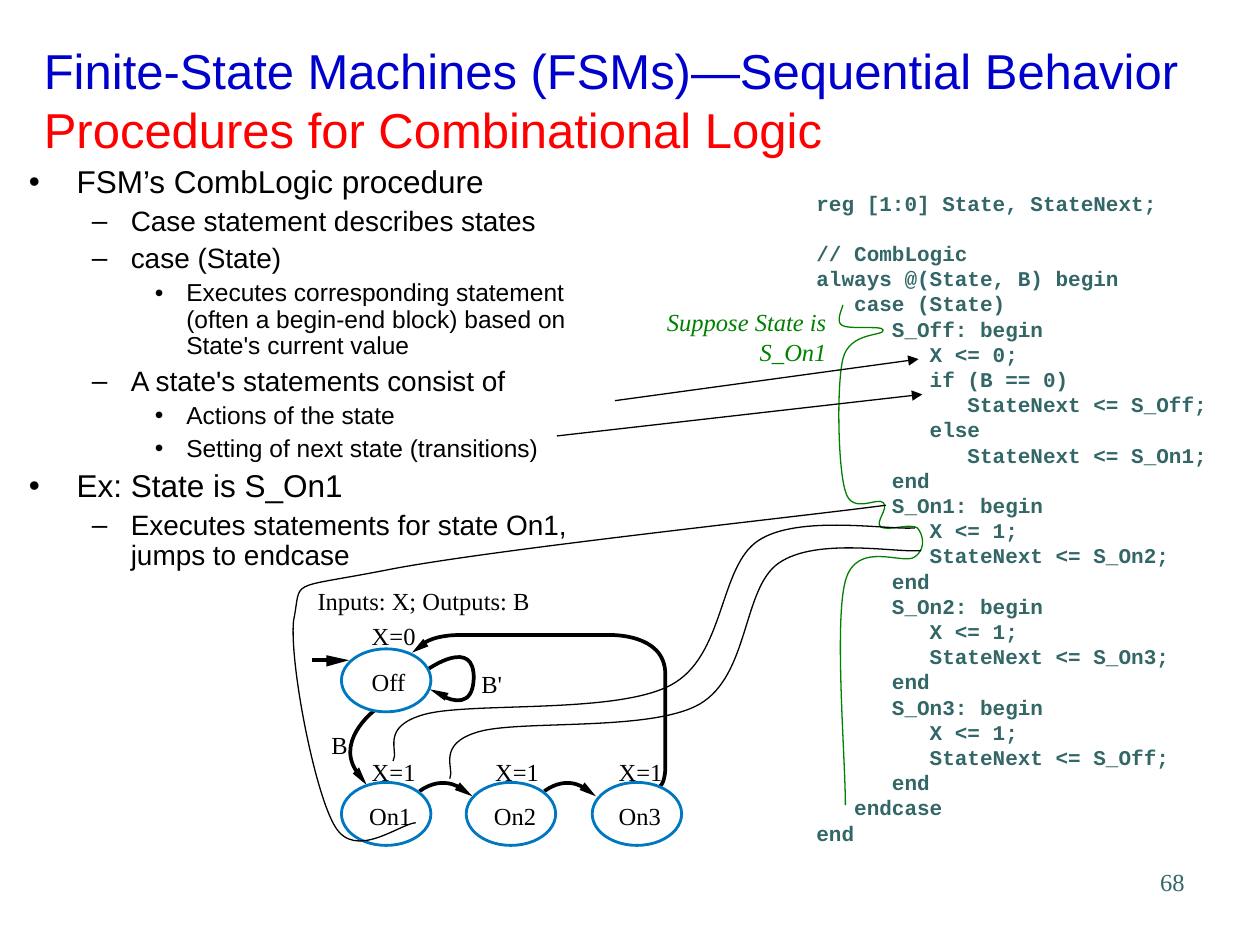
from lxml.etree import SubElement
from pptx import Presentation
from pptx.dml.color import RGBColor
from pptx.enum.shapes import MSO_CONNECTOR, MSO_SHAPE
from pptx.enum.text import MSO_ANCHOR, PP_ALIGN
from pptx.oxml.ns import qn
from pptx.util import Inches, Pt

BLACK = RGBColor(0, 0, 0)
BLUE = RGBColor(0, 0, 0xCC)
RED = RGBColor(0xFF, 0, 0)
GREEN = RGBColor(0, 0x80, 0)
TEAL = RGBColor(0x33, 0x66, 0x66)
RING = RGBColor(0, 0x78, 0xC1)

deck = Presentation()
deck.slide_width, deck.slide_height = Inches(10), Inches(7.5)
slide = deck.slides.add_slide(deck.slide_layouts[6])
shapes = slide.shapes


def write(box, lines, face, color, align=PP_ALIGN.LEFT, pad=0, wrap=False):
    frame = shapes.add_textbox(*map(Inches, box)).text_frame
    look = {"word_wrap": wrap, "margin_left": Inches(pad), "margin_right": Inches(pad),
            "margin_top": Inches(pad / 2), "margin_bottom": Inches(pad / 2)}
    for key, value in look.items():
        setattr(frame, key, value)
    for i, line in enumerate(lines):
        para = frame.paragraphs[0] if i == 0 else frame.add_paragraph()
        para.alignment = align
        run = para.add_run()
        run.text = line
        for key, value in face.items():
            setattr(run.font, key, value)
        run.font.color.rgb = color
    return frame


def draw(dots, color, width=None):
    dots = [(Inches(x), Inches(y)) for x, y in dots]
    pen = shapes.build_freeform(*dots[0], scale=1.0)
    pen.add_line_segments(dots[1:], close=width is None)
    form = pen.convert_to_shape()
    form.shadow.inherit = False
    if width is None:
        form.fill.solid()
        form.fill.fore_color.rgb = color
        form.line.fill.background()
        return
    form.fill.background()
    form.line.color.rgb = color
    form.line.width = Pt(width)
    track = form._element.find(".//" + qn("a:path"))
    steps = track.findall(qn("a:lnTo"))
    for i in range(0, len(steps), 3):
        curve = SubElement(track, qn("a:cubicBezTo"))
        for step in steps[i:i + 3]:
            curve.append(step[0])
            track.remove(step)


serif = {"name": "Times New Roman", "size": Pt(14)}
write((7.42, 6.83, 2.08, 0.5), ["68"], serif, TEAL, PP_ALIGN.RIGHT, 0.1, True)

head = {"name": "Arial", "size": Pt(28)}
title = write((0.25, 0.33, 9.42, 0.92), ["Finite-State Machines (FSMs)—Sequential Behavior"],
              head, BLUE, pad=0.1, wrap=True)
title.vertical_anchor = MSO_ANCHOR.MIDDLE
first = title.paragraphs[0]
first.add_line_break()
second = first.add_run()
second.text = "Procedures for Combinational Logic"
for key, value in head.items():
    setattr(second.font, key, value)
second.font.color.rgb = RED

points = [
    (0, "FSM’s CombLogic procedure"),
    (1, "Case statement describes states"),
    (1, "case (State)"),
    (2, "Executes corresponding statement (often a begin-end block) based on State's current value"),
    (1, "A state's statements consist of"),
    (2, "Actions of the state"),
    (2, "Setting of next state (transitions)"),
    (0, "Ex: State is S_On1"),
    (1, "Executes statements for state On1, jumps to endcase"),
]
levels = [(18, 0.38, 0.38, "•"), (16, 0.81, 0.31, "–"), (14, 1.25, 0.25, "•")]
body = write((0.13, 1.27, 4.55, 3.51), [text for _, text in points],
             {"name": "Arial"}, BLACK, pad=0.1, wrap=True)
for i, (para, (level, _)) in enumerate(zip(body.paragraphs, points)):
    size, left, hang, mark = levels[level]
    look = {"level": level, "line_spacing": 0.9, "space_before": Pt(size / 4 if i else 0)}
    for key, value in look.items():
        setattr(para, key, value)
    para.runs[0].font.size = Pt(size)
    props = para._p.get_or_add_pPr()
    props.set("marL", str(Inches(left)))
    props.set("indent", str(-Inches(hang)))
    SubElement(props, qn("a:buFont")).set("typeface", "Arial")
    SubElement(props, qn("a:buChar")).set("char", mark)

code = """\
   reg [1:0] State, StateNext;
   // CombLogic
   always @(State, B) begin
      case (State)
         S_Off: begin
            X <= 0;
            if (B == 0)
               StateNext <= S_Off;
            else
               StateNext <= S_On1;
         end
         S_On1: begin
            X <= 1;
            StateNext <= S_On2;
         end
         S_On2: begin
            X <= 1;
            StateNext <= S_On3;
         end
         S_On3: begin
            X <= 1;
            StateNext <= S_Off;
         end
      endcase
   end"""
mono = {"name": "Courier New", "size": Pt(12), "bold": True}
panel = write((6.18, 1.51, 3.5, 5.2), code.split("\n"), mono, TEAL, wrap=True)
panel.paragraphs[1].space_before = Pt(14.4)

write((4.79, 2.44, 1.77, 0.47), ["Suppose State is S_On1"], {**serif, "italic": True},
      GREEN, PP_ALIGN.RIGHT, wrap=True)

labels = [
    ("Inputs: X; Outputs: B", 2.52, 4.65, 1.69), ("X=0", 2.95, 4.93, 0.35),
    ("Off", 2.95, 5.29, 0.27), ("B'", 3.82, 5.31, 0.17), ("B", 2.63, 5.79, 0.13),
]
for i in range(3):
    labels += [(f"On{i + 1}", 2.93 + 0.99 * i, 6.36, 0.34), ("X=1", 2.95 + 0.98 * i, 6.01, 0.35)]
for text, x, y, wide in labels:
    write((x, y, wide, 0.23), [text], serif, BLACK)

bends = [
    [(3.33, 6.28), (3.33, 6.28), (3.51, 6.13), (3.69, 6.28)],
    [(4.32, 6.28), (4.32, 6.28), (4.5, 6.13), (4.67, 6.28)],
    [(3.5, 5.52), (3.6, 5.57), (3.75, 5.61), (3.76, 5.39), (3.77, 5.05), (3.4, 5.31), (3.4, 5.31)],
    [(3.37, 5.1), (3.42, 5.07), (3.51, 5.04), (3.65, 5.04), (4.83, 5.04), (4.83, 5.04), (4.83, 5.04),
     (4.83, 5.04), (5.28, 5.02), (5.28, 5.35), (5.28, 6.1), (5.28, 6.1), (5.28, 6.1),
     (5.28, 6.1), (5.28, 6.2), (5.24, 6.24)],
    [(2.97, 5.64), (2.97, 5.64), (2.63, 5.9), (2.86, 6.16)],
]
for bend in bends:
    draw(bend, BLACK, 2.13)

tips = [
    [(2.77, 5.24), (2.59, 5.2), (2.59, 5.29)],
    [(3.75, 6.32), (3.65, 6.21), (3.61, 6.27)],
    [(4.73, 6.32), (4.64, 6.21), (4.6, 6.27)],
    [(2.91, 6.23), (2.85, 6.09), (2.8, 6.14)],
    [(3.41, 5.47), (3.53, 5.56), (3.56, 5.5)],
    [(3.27, 5.18), (3.4, 5.13), (3.36, 5.07)],
]
for tip in tips:
    draw(tip, BLACK)

for x, y in [(2.71, 6.21), (3.7, 6.21), (4.7, 6.21), (2.71, 5.15)]:
    state = shapes.add_shape(MSO_SHAPE.OVAL, *map(Inches, (x, y, 0.71, 0.5)))
    state.shadow.inherit = False
    state.fill.background()
    state.line.color.rgb = RING
    state.line.width = Pt(1.62)

flow = [
    (6.69, 2.42), (6.69, 2.44), (6.63, 2.55), (6.68, 2.58), (6.73, 2.62), (7.01, 2.58), (7.01, 2.62),
    (7.02, 2.67), (6.74, 2.63), (6.69, 2.85), (6.64, 3.06), (6.65, 3.71), (6.71, 3.9),
    (6.76, 4.09), (6.97, 3.94), (7.01, 3.99), (7.06, 4.03), (6.94, 4.15), (6.99, 4.18),
    (7.03, 4.22), (7.23, 4.15), (7.28, 4.19), (7.32, 4.23), (7.36, 4.35), (7.26, 4.42),
    (7.17, 4.49), (6.8, 4.28), (6.71, 4.61), (6.62, 4.94), (6.71, 6.02), (6.71, 6.39),
]
draw(flow, GREEN, 0.75)

links = [
    [(7.26, 4.19), (7.06, 4.21), (6.34, 4.08), (6.02, 4.29), (5.7, 4.5), (5.76, 5.21), (5.32, 5.44),
     (4.88, 5.67), (3.74, 5.57), (3.37, 5.67), (3.01, 5.77), (3.17, 5.96), (3.12, 6.04)],
    [(7.31, 4.37), (7.12, 4.39), (6.48, 4.26), (6.18, 4.47), (5.89, 4.67), (5.95, 5.36), (5.55, 5.59),
     (5.16, 5.81), (4.12, 5.71), (3.79, 5.81), (3.46, 5.91), (3.61, 6.1), (3.57, 6.18)],
    [(7.03, 4.01), (6.36, 4.1), (3.82, 4.37), (3.04, 4.53), (2.26, 4.68), (2.4, 4.59), (2.33, 4.93),
     (2.3, 5.28), (2.5, 6.3), (2.66, 6.56), (2.82, 6.83), (3.17, 6.54), (3.3, 6.53)],
]
for link in links:
    draw(link, BLACK, 0.75)

for ends, width, tail in [((2.48, 5.24, 2.62, 5.24), 2.13, False),
                          ((4.42, 3.46, 7.32, 3.13), 0.75, True),
                          ((4.88, 3.18, 7.29, 2.85), 0.75, True)]:
    arrow = shapes.add_connector(MSO_CONNECTOR.STRAIGHT, *map(Inches, ends))
    arrow.line.color.rgb = BLACK
    arrow.line.width = Pt(width)
    if tail:
        SubElement(arrow.line._get_or_add_ln(), qn("a:tailEnd")).set("type", "triangle")
    SubElement(arrow._element.spPr, qn("a:effectLst"))

deck.save("out.pptx")
